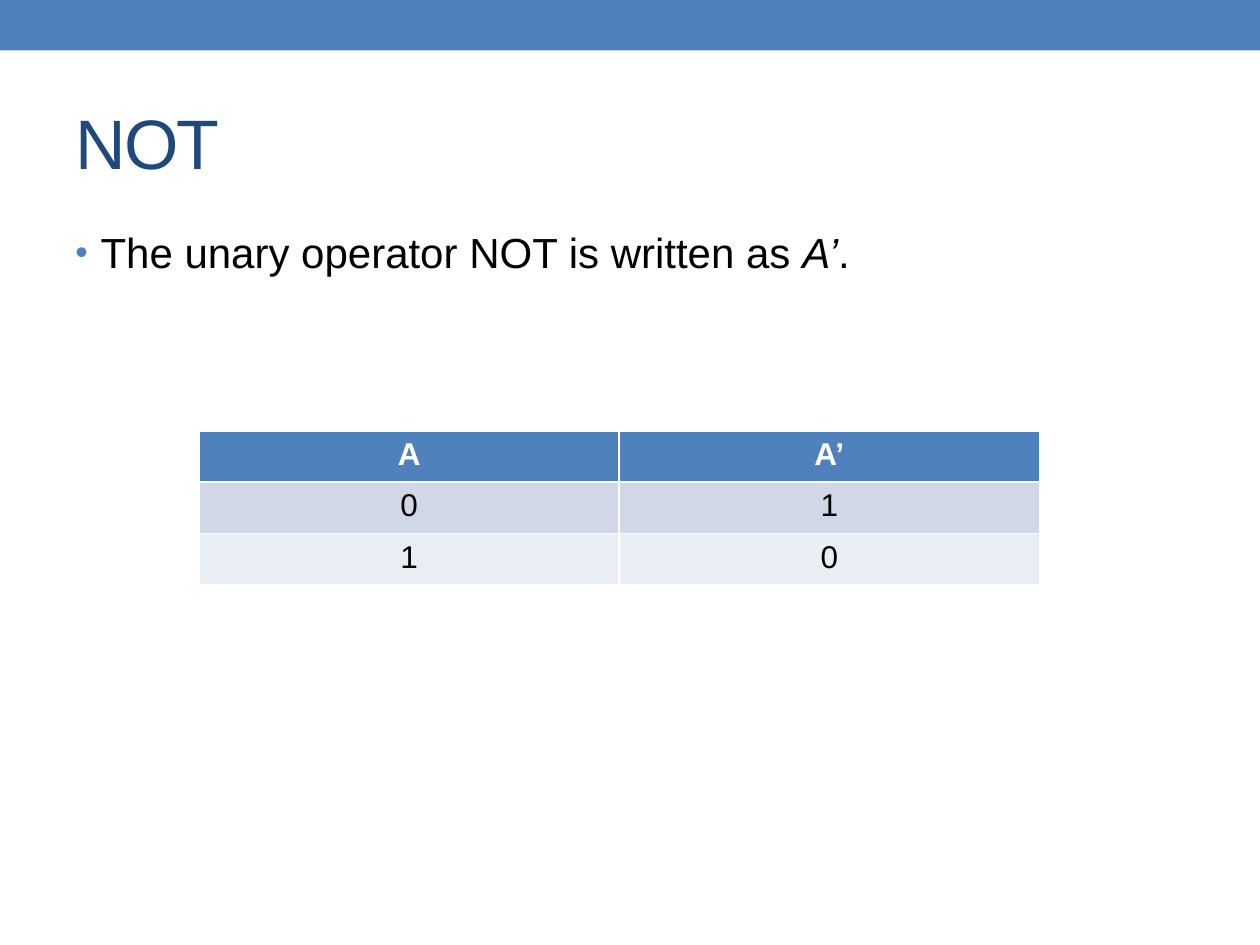
from pptx import Presentation
from pptx.dml.color import RGBColor
from pptx.enum.shapes import MSO_SHAPE
from pptx.enum.text import MSO_ANCHOR, PP_ALIGN
from pptx.oxml import parse_xml
from pptx.oxml.ns import nsdecls
from pptx.util import Inches, Pt

COLORS = {
    "blue": "4F81BD",
    "navy": "1F497D",
    "black": "000000",
    "white": "FFFFFF",
    "odd": "D0D8E8",
    "even": "E9EDF4",
}
TRUTH = [("A", "A’"), ("0", "1"), ("1", "0")]


def color(name):
    return RGBColor.from_string(COLORS[name])


def style(font, tint, **format):
    font.color.rgb = color(tint)
    for key, value in ({"name": "Arial"} | format).items():
        setattr(font, key, value)


def add_band(slide):
    band = slide.shapes.add_shape(
        MSO_SHAPE.RECTANGLE, 0, 0, Inches(10), Inches(0.4))
    band.shadow.inherit = False
    band.fill.solid()
    band.fill.fore_color.rgb = color("blue")
    band.line.fill.background()


def add_text(slide, top, height, anchor):
    """Add a full-width text box and return its first paragraph."""
    box = slide.shapes.add_textbox(
        Inches(0.5), Inches(top), Inches(9), Inches(height))
    frame = box.text_frame
    frame.word_wrap = True
    frame.vertical_anchor = anchor
    return frame.paragraphs[0]


def add_title(slide, text):
    run = add_text(slide, 0.58, 1.08, MSO_ANCHOR.MIDDLE).add_run()
    run.text = text
    style(run.font, "navy", size=Pt(40))
    run.font._element.set("spc", "-100")


def add_bullet(para):
    props = para._p.get_or_add_pPr()
    props.set("marL", str(Inches(0.2)))
    props.set("indent", str(-Inches(0.2)))
    for mark in (
        f'<a:buClr {nsdecls("a")}><a:srgbClr val="{COLORS["blue"]}"/></a:buClr>',
        f'<a:buSzPct {nsdecls("a")} val="85000"/>',
        f'<a:buFont {nsdecls("a")} typeface="Arial"/>',
        f'<a:buChar {nsdecls("a")} char="•"/>',
    ):
        props.append(parse_xml(mark))


def add_body(slide, parts):
    para = add_text(slide, 1.75, 5.33, MSO_ANCHOR.TOP)
    add_bullet(para)
    for text, italic in parts:
        run = para.add_run()
        run.text = text
        style(run.font, "black", size=Pt(24), italic=italic)


def add_truth(slide, rows):
    """Add the truth table; its default style draws the white rules."""
    table = slide.shapes.add_table(
        len(rows), len(rows[0]), Inches(1.58), Inches(3.42),
        Inches(6.67), Inches(1.22)).table
    for r, row in enumerate(rows):
        head = r == 0
        fill = "blue" if head else "odd" if r % 2 else "even"
        for c, text in enumerate(row):
            cell = table.cell(r, c)
            cell.fill.solid()
            cell.fill.fore_color.rgb = color(fill)
            para = cell.text_frame.paragraphs[0]
            para.alignment = PP_ALIGN.CENTER
            run = para.add_run()
            run.text = text
            style(run.font, "white" if head else "black",
                  size=Pt(18), bold=head)


def main():
    deck = Presentation()
    deck.slide_width, deck.slide_height = Inches(10), Inches(7.5)
    slide = deck.slides.add_slide(deck.slide_layouts[6])
    add_band(slide)
    add_title(slide, "NOT")
    add_body(slide, [("The unary operator NOT is written as ", False),
                     ("A’", True), (".", False)])
    add_truth(slide, TRUTH)
    deck.save("out.pptx")


if __name__ == "__main__":
    main()
